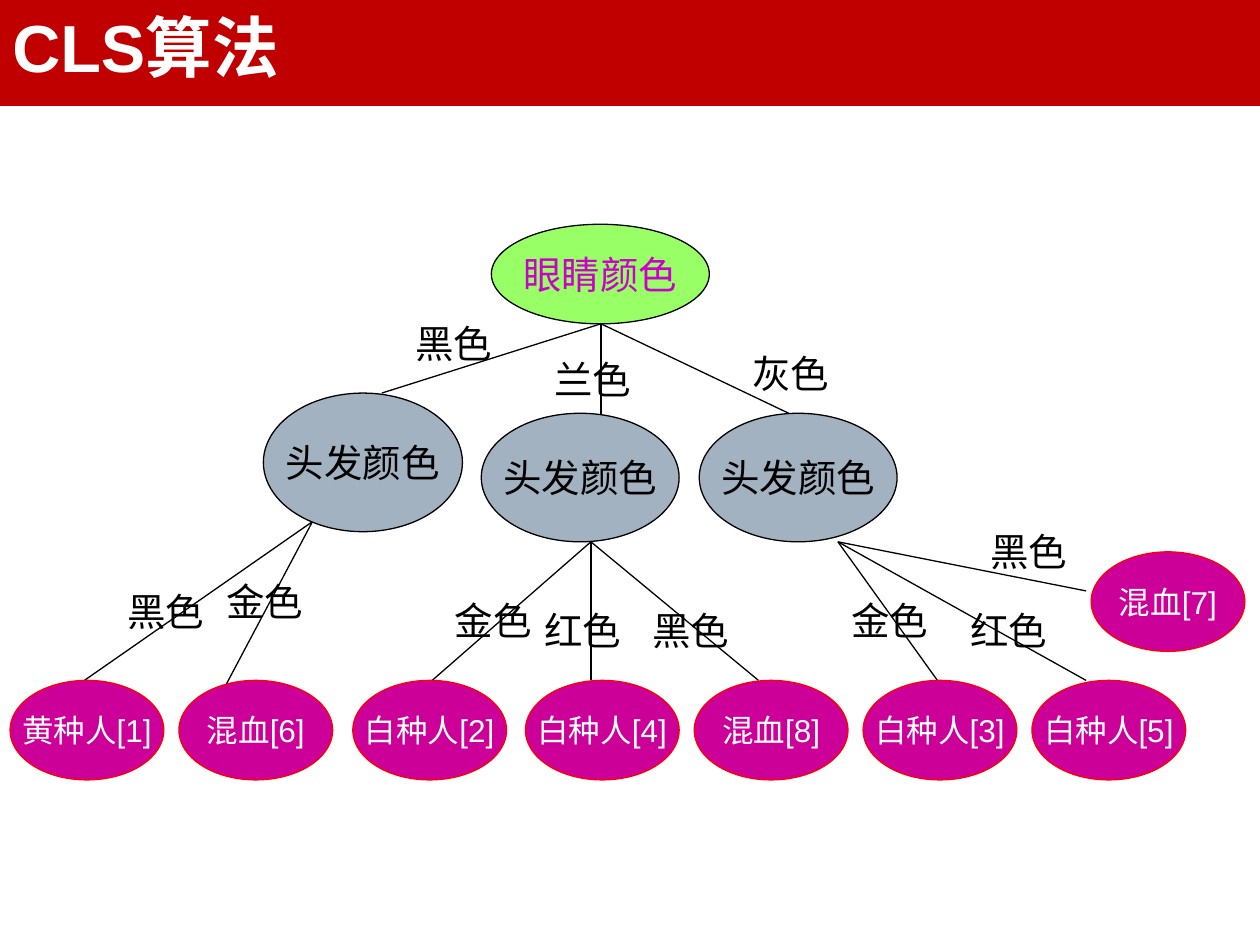
from pptx import Presentation
from pptx.dml.color import RGBColor
from pptx.enum.shapes import MSO_CONNECTOR, MSO_SHAPE
from pptx.enum.text import MSO_ANCHOR, MSO_AUTO_SIZE, PP_ALIGN
from pptx.oxml.ns import qn
from pptx.util import Inches, Pt
from lxml.etree import SubElement

WHITE = RGBColor(0xFF, 0xFF, 0xFF)
BLACK = RGBColor(0, 0, 0)
RED = RGBColor(0xFF, 0, 0)
BANNER_RED = RGBColor(0xC0, 0, 0)
GREEN = RGBColor(0x99, 0xFF, 0x66)
VIOLET = RGBColor(0xCC, 0, 0xCC)
STEEL = RGBColor(0xA3, 0xB2, 0xC1)
MAGENTA = RGBColor(0xCC, 0, 0x99)

COLUMNS, ROWS = 100, 75
CELL = Inches(0.1)
LEAF_ROW = 54
LEAF_SIZE = (12.2, 7.9)

HAIR_NODES = [
    (20.9, 31.2, 15.8, 11),
    (38.2, 32.8, 15.7, 10.2),
    (55.5, 32.8, 15.7, 10.2),
]

LEAVES = [
    ("黄种人[1]", 0.8, LEAF_ROW),
    ("混血[6]", 14.2, LEAF_ROW),
    ("白种人[2]", 28, LEAF_ROW),
    ("白种人[4]", 41.7, LEAF_ROW),
    ("混血[8]", 55.1, LEAF_ROW),
    ("白种人[3]", 68.5, LEAF_ROW),
    ("白种人[5]", 81.9, LEAF_ROW),
    ("混血[7]", 86.6, 43.8),
]

BRANCHES = {
    (47.7, 25.7): [
        ((30.3, 31.2), "黑色", (32, 24.9)),
        ((47.7, 33.6), "兰色", (43, 27.8)),
        ((62.6, 32.8), "灰色", (58.7, 27.3)),
    ],
    (24.8, 41.4): [
        ((6.7, LEAF_ROW), "黑色", (9.1, 46.2)),
        ((17.7, 54.8), "金色", (17, 45.4)),
    ],
    (46.9, 43): [
        ((34.3, LEAF_ROW), "金色", (35.1, 46.9)),
        ((46.9, LEAF_ROW), "红色", (42.2, 47.7)),
        ((60.2, LEAF_ROW), "黑色", (50.8, 47.7)),
    ],
    (66.5, 43): [
        ((74.4, LEAF_ROW), "金色", (66.6, 46.9)),
        ((86.2, LEAF_ROW), "红色", (76, 47.7)),
        ((86.2, 46.9), "黑色", (77.6, 41.4)),
    ],
}


def cells(*counts):
    return [round(count * CELL) for count in counts]


def write(shape, text, size, color, align=PP_ALIGN.LEFT, bold=False):
    para = shape.text_frame.paragraphs[0]
    para.text = text
    para.alignment = align
    font = para.runs[0].font
    font.name = "Arial"
    font.size = Pt(size)
    font.bold = bold
    font.color.rgb = color


def add_filled(page, kind, bounds, fill):
    shape = page.shapes.add_shape(kind, *cells(*bounds))
    shape.shadow.inherit = False
    shape.fill.solid()
    shape.fill.fore_color.rgb = fill
    return shape


def add_node(page, text, bounds, fill, color, size=22, outline=BLACK):
    node = add_filled(page, MSO_SHAPE.OVAL, bounds, fill)
    node.line.color.rgb = outline
    node.line.width = Pt(0.75)
    node.text_frame.word_wrap = False
    node.text_frame.vertical_anchor = MSO_ANCHOR.MIDDLE
    write(node, text, size, color, PP_ALIGN.CENTER)


def add_branch(page, start, end):
    branch = page.shapes.add_connector(MSO_CONNECTOR.STRAIGHT, *cells(*start, *end))
    branch.line.color.rgb = BLACK
    branch.line.width = Pt(0.75)
    SubElement(branch._element.spPr, qn("a:effectLst"))


def add_label(page, text, corner):
    box = page.shapes.add_textbox(*cells(*corner, 8.1, 4.7))
    box.text_frame.word_wrap = False
    box.text_frame.auto_size = MSO_AUTO_SIZE.SHAPE_TO_FIT_TEXT
    write(box, text, 22, BLACK)


def add_banner(page, text):
    banner = add_filled(page, MSO_SHAPE.RECTANGLE, (0, 0, COLUMNS, 8.4), BANNER_RED)
    banner.line.fill.background()
    banner.text_frame.vertical_anchor = MSO_ANCHOR.TOP
    write(banner, text, 38, WHITE, bold=True)


def main():
    deck = Presentation()
    deck.slide_width, deck.slide_height = cells(COLUMNS, ROWS)
    page = deck.slides.add_slide(deck.slide_layouts[6])

    for start, branches in BRANCHES.items():
        for end, _, _ in branches:
            add_branch(page, start, end)

    add_node(page, "眼睛颜色", (39, 17.8, 17.3, 7.9), GREEN, VIOLET)
    for bounds in HAIR_NODES:
        add_node(page, "头发颜色", bounds, STEEL, BLACK)
    for text, left, top in LEAVES:
        add_node(page, text, (left, top, *LEAF_SIZE), MAGENTA, WHITE, 18, RED)

    for branches in BRANCHES.values():
        for _, text, corner in branches:
            add_label(page, text, corner)

    add_banner(page, "CLS算法")
    deck.save("out.pptx")


if __name__ == "__main__":
    main()
